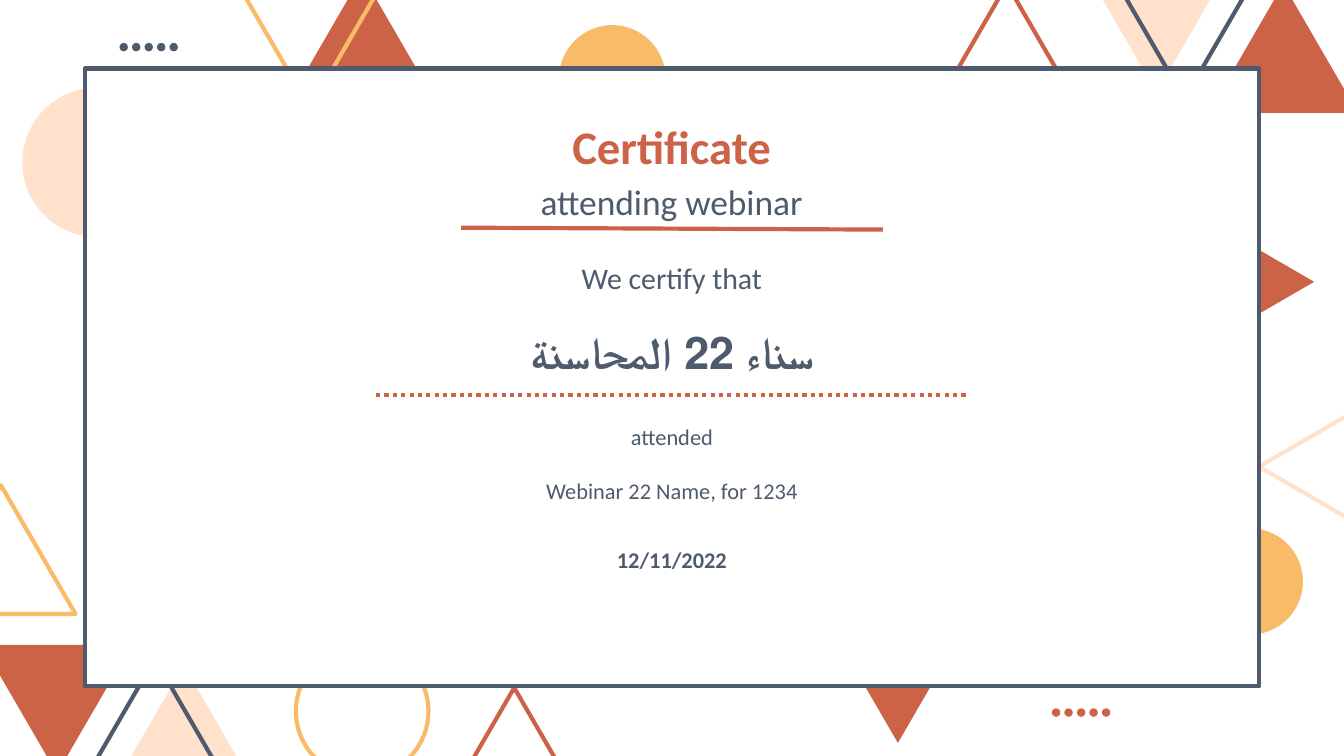
from lxml import etree
from pptx import Presentation
from pptx.dml.color import RGBColor
from pptx.enum import dml, shapes, text
from pptx.oxml.ns import qn
from pptx.util import Pt

RUST, SLATE, PEACH, GOLD, WHITE = "CD6346", "4E5B6D", "FFE1CC", "FABB69", "FFFFFF"
FONT, EDGE, INSET = "Calibri", 2.25, 7.2
TRI_W, TRI_H, DOT, STEP = 80, 69, 4.5, 6.7

# left, top, turn, fill, line
TRIS = [
    (441, 329, 180, RUST, None),
    (58.5, 356.5, 0, PEACH, None),
    (43, 353, 0, None, SLATE),
    (-9.5, 345.5, 180, RUST, None),
    (235.5, 368.5, 0, None, RUST),
    (629.5, 116.5, 90, RUST, None),
    (669, 215.5, 270, None, PEACH),
    (499.5, -8.5, 0, None, RUST),
    (579.5, -19.5, 180, PEACH, None),
    (594.5, -16, 180, None, SLATE),
    (647.5, -8.5, 0, RUST, None),
    (154, -13.5, 0, RUST, None),
    (126, -11, 180, None, GOLD),
    (-39.5, 260, 0, None, GOLD),
]
# left, top, size, fill, line
DISCS = [
    (158.5, 345.5, 71, None, GOLD),
    (641, 283, 57, GOLD, None),
    (299.5, 13.5, 57, GOLD, None),
    (12, 47, 80, PEACH, None),
]
DOTS = [(64, 23, SLATE), (563.5, 379.5, RUST)]
RULES = [(201.5, 211.7, 518.5, 211.7, True), (247, 122, 473, 123, False)]

# placeholder, box, anchor, line spacing, gap, lines of (words, size, colour, bold)
MID, TOP = text.MSO_ANCHOR.MIDDLE, text.MSO_ANCHOR.TOP
TEXTS = [
    (0, (247, 59, 225.5, 60), MID, 1.15, 0,
     [("Certificate", 25, RUST, True), ("attending webinar", 19, SLATE, False)]),
    (1, (120, 167, 480, 45), TOP, 1, 0, [("سناء 22 المحاسنة", 24, SLATE, True)]),
    (2, (120, 134, 480, 29), MID, 1, 0, [("We certify that", 16, SLATE, False)]),
    (3, (120, 234, 480, 29), MID, 1, 14.5,
     [("attended", 12, SLATE, False), ("Webinar 22 Name, for 1234", 12, SLATE, False)]),
    (4, (120, 282.5, 480, 35), MID, 1, 0, [("12/11/2022", 12, SLATE, True)]),
]


def hue(code):
    return RGBColor.from_string(code)


def draw(slide, kind, box, fill=None, line=None, turn=0):
    form = slide.shapes.add_shape(kind, *map(Pt, box))
    form.shadow.inherit = False
    form.rotation = turn
    if fill:
        form.fill.solid()
        form.fill.fore_color.rgb = hue(fill)
    else:
        form.fill.background()
    if line:
        form.line.color.rgb = hue(line)
        form.line.width = Pt(EDGE)
    else:
        form.line.fill.background()


def rule(slide, x1, y1, x2, y2, dotted):
    line = slide.shapes.add_connector(shapes.MSO_CONNECTOR.STRAIGHT, *map(Pt, (x1, y1, x2, y2)))
    line.line.color.rgb = hue(RUST)
    line.line.width = Pt(EDGE)
    if dotted:
        line.line.dash_style = dml.MSO_LINE.ROUND_DOT
    etree.SubElement(line.element.spPr, qn("a:effectLst"))


def write(slide, key, box, anchor, lead, gap, lines):
    hold = slide.placeholders[key]
    hold.left, hold.top, hold.width, hold.height = map(Pt, box)
    hold.element.getparent().append(hold.element)
    frame = hold.text_frame
    frame.auto_size = text.MSO_AUTO_SIZE.NONE
    frame.word_wrap = True
    frame.vertical_anchor = anchor
    frame.margin_left = frame.margin_right = Pt(INSET)
    frame.margin_top = frame.margin_bottom = Pt(INSET)
    frame.text = "\n".join(line[0] for line in lines)
    for num, (para, line) in enumerate(zip(frame.paragraphs, lines)):
        props = para._p.get_or_add_pPr()
        props.set("marL", "0")
        props.set("indent", "0")
        etree.SubElement(props, qn("a:buNone"))
        para.alignment = text.PP_ALIGN.CENTER
        para.line_spacing = lead
        para.space_before = Pt(gap if num else 0)
        font = para.font
        font.name, font.size, font.bold = FONT, Pt(line[1]), line[3]
        font.color.rgb = hue(line[2])


def main():
    """Build the webinar certificate slide."""
    deck = Presentation()
    deck.slide_width, deck.slide_height = Pt(720), Pt(405)
    slide = deck.slides.add_slide(deck.slide_layouts.get_by_name("Comparison"))
    kind = shapes.MSO_SHAPE
    for x, y, turn, fill, line in TRIS:
        draw(slide, kind.ISOSCELES_TRIANGLE, (x, y, TRI_W, TRI_H), fill, line, turn)
    for x, y, size, fill, line in DISCS:
        draw(slide, kind.OVAL, (x, y, size, size), fill, line)
    for x, y, fill in DOTS:
        for num in range(5):
            draw(slide, kind.OVAL, (x + num * STEP, y, DOT, DOT), fill)
    draw(slide, kind.RECTANGLE, (45.5, 36.75, 629, 331), WHITE, SLATE)
    for item in TEXTS:
        write(slide, *item)
    for item in RULES:
        rule(slide, *item)
    deck.save("out.pptx")


if __name__ == "__main__":
    main()
